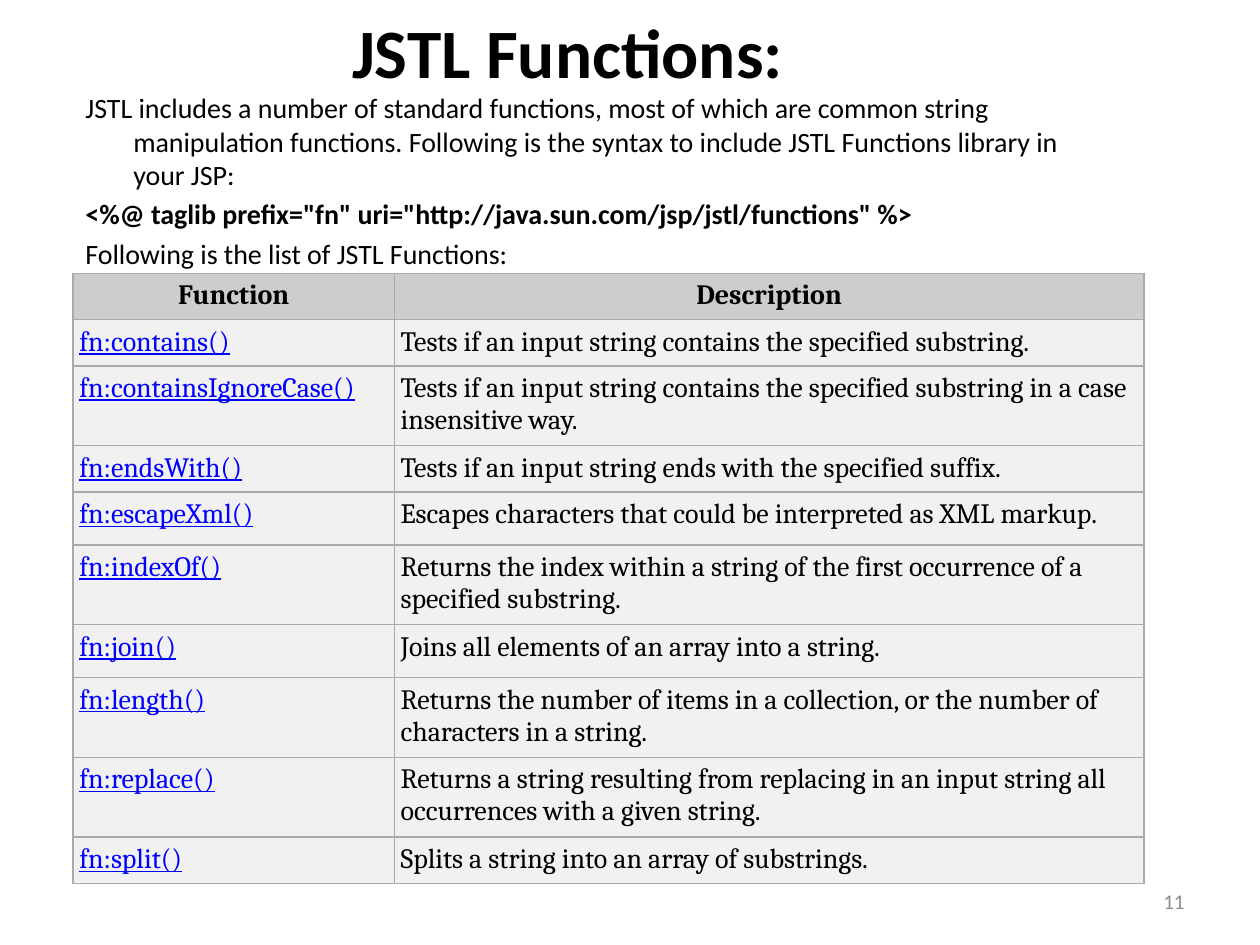
from lxml.etree import SubElement
from pptx import Presentation
from pptx.dml.color import RGBColor
from pptx.enum.text import MSO_ANCHOR, MSO_AUTO_SIZE, PP_ALIGN
from pptx.oxml.ns import qn
from pptx.util import Inches, Pt

INTRO = [
    ("JSTL includes a number of standard functions, most of which are common string "
     "manipulation functions. Following is the syntax to include JSTL Functions "
     "library in your JSP:", False),
    ('<%@ taglib prefix="fn" uri="http://java.sun.com/jsp/jstl/functions" %>', True),
    ("Following is the list of JSTL Functions:", False),
]
FUNCTIONS = [
    ("fn:contains()", "Tests if an input string contains the specified substring.", 0.36),
    ("fn:containsIgnoreCase()", "Tests if an input string contains the specified "
     "substring in a case insensitive way.", 0.62),
    ("fn:endsWith()", "Tests if an input string ends with the specified suffix.", 0.36),
    ("fn:escapeXml()", "Escapes characters that could be interpreted as XML markup.", 0.42),
    ("fn:indexOf()", "Returns the index within a string of the first occurrence of "
     "a specified substring.", 0.62),
    ("fn:join()", "Joins all elements of an array into a string.", 0.42),
    ("fn:length()", "Returns the number of items in a collection, or the number of "
     "characters in a string.", 0.62),
    ("fn:replace()", "Returns a string resulting from replacing in an input string "
     "all occurrences with a given string.", 0.62),
    ("fn:split()", "Splits a string into an array of substrings.", 0.36),
]


def rgb(value):
    """Return the colour of a hex string."""
    return RGBColor.from_string(value)


def set_font(p, size, name="Calibri", color="000000", bold=False, underline=False):
    """Set the font of a whole paragraph."""
    font = p.font
    font.size, font.name = Pt(size), name
    font.bold, font.underline = bold, underline
    font.color.rgb = rgb(color)


def add_title(s, text):
    """Place and format the title placeholder."""
    sp = s.shapes.title
    sp.left, sp.top = Inches(0.42), Inches(0.17)
    sp.width, sp.height = Inches(8.17), Inches(0.47)
    tf = sp.text_frame
    tf.text = text
    tf.auto_size = MSO_AUTO_SIZE.NONE
    tf.vertical_anchor = MSO_ANCHOR.MIDDLE
    p = tf.paragraphs[0]
    p.alignment = PP_ALIGN.CENTER
    set_font(p, 39.6, bold=True)


def add_text_box(s, left, top, width, height):
    """Add a wrapping text box and return its text frame."""
    sp = s.shapes.add_textbox(Inches(left), Inches(top), Inches(width), Inches(height))
    tf = sp.text_frame
    tf.word_wrap = True
    return tf


def add_intro(s):
    """Add the introduction with hanging indents."""
    tf = add_text_box(s, 0.58, 0.67, 8.17, 1.58)
    for i, (text, bold) in enumerate(INTRO):
        p = tf.add_paragraph() if i else tf.paragraphs[0]
        p.text = text
        pPr = p._p.get_or_add_pPr()
        pPr.set("marL", str(Inches(0.38)))
        pPr.set("indent", str(-Inches(0.38)))
        if i:
            p.space_before = Pt(3.2)
        set_font(p, 16, bold=bold)


def set_borders(cell, color):
    """Draw a one-point border on all sides of a cell."""
    tcPr = cell._tc.get_or_add_tcPr()
    for i, side in enumerate(("lnL", "lnR", "lnT", "lnB")):
        ln = tcPr.makeelement(qn(f"a:{side}"), {"w": str(Pt(1))})
        fill = SubElement(ln, qn("a:solidFill"))
        SubElement(fill, qn("a:srgbClr"), val=color)
        tcPr.insert(i, ln)


def fill_cell(cell, text, fill, align=PP_ALIGN.LEFT, **font):
    """Write and format one table cell."""
    cell.margin_left = cell.margin_right = Inches(0.05)
    cell.margin_top = cell.margin_bottom = Inches(0.05)
    cell.fill.solid()
    cell.fill.fore_color.rgb = rgb(fill)
    set_borders(cell, "AAAAAA")
    p = cell.text_frame.paragraphs[0]
    p.text = text
    p.alignment = align
    set_font(p, 16, "Cambria", **font)


def add_function_table(s):
    """Add the table of functions and descriptions."""
    table = s.shapes.add_table(len(FUNCTIONS) + 1, 2, Inches(0.58), Inches(2.17),
                               Inches(8.5), Inches(4.76)).table
    table.columns[0].width = Inches(2.55)
    table.columns[1].width = Inches(5.95)
    table.rows[0].height = Inches(0.36)
    for col, heading in enumerate(("Function", "Description")):
        fill_cell(table.cell(0, col), heading, "CDCDCD", PP_ALIGN.CENTER, bold=True)
    for row, (name, description, height) in enumerate(FUNCTIONS, 1):
        table.rows[row].height = Inches(height)
        fill_cell(table.cell(row, 0), name, "F1F1F1", color="0000FF", underline=True)
        fill_cell(table.cell(row, 1), description, "F1F1F1")


def add_page_number(s, number):
    """Add the page number at the bottom right."""
    tf = add_text_box(s, 7.17, 6.95, 2.33, 0.4)
    tf.vertical_anchor = MSO_ANCHOR.MIDDLE
    p = tf.paragraphs[0]
    p.text = number
    p.alignment = PP_ALIGN.RIGHT
    set_font(p, 12, color="8C8C8C")


def main():
    """Build and save the slide."""
    prs = Presentation()
    prs.slide_width, prs.slide_height = Inches(10), Inches(7.5)
    s = prs.slides.add_slide(prs.slide_layouts[5])
    add_title(s, "JSTL Functions:")
    add_intro(s)
    add_function_table(s)
    add_page_number(s, "11")
    prs.save("out.pptx")


if __name__ == "__main__":
    main()
